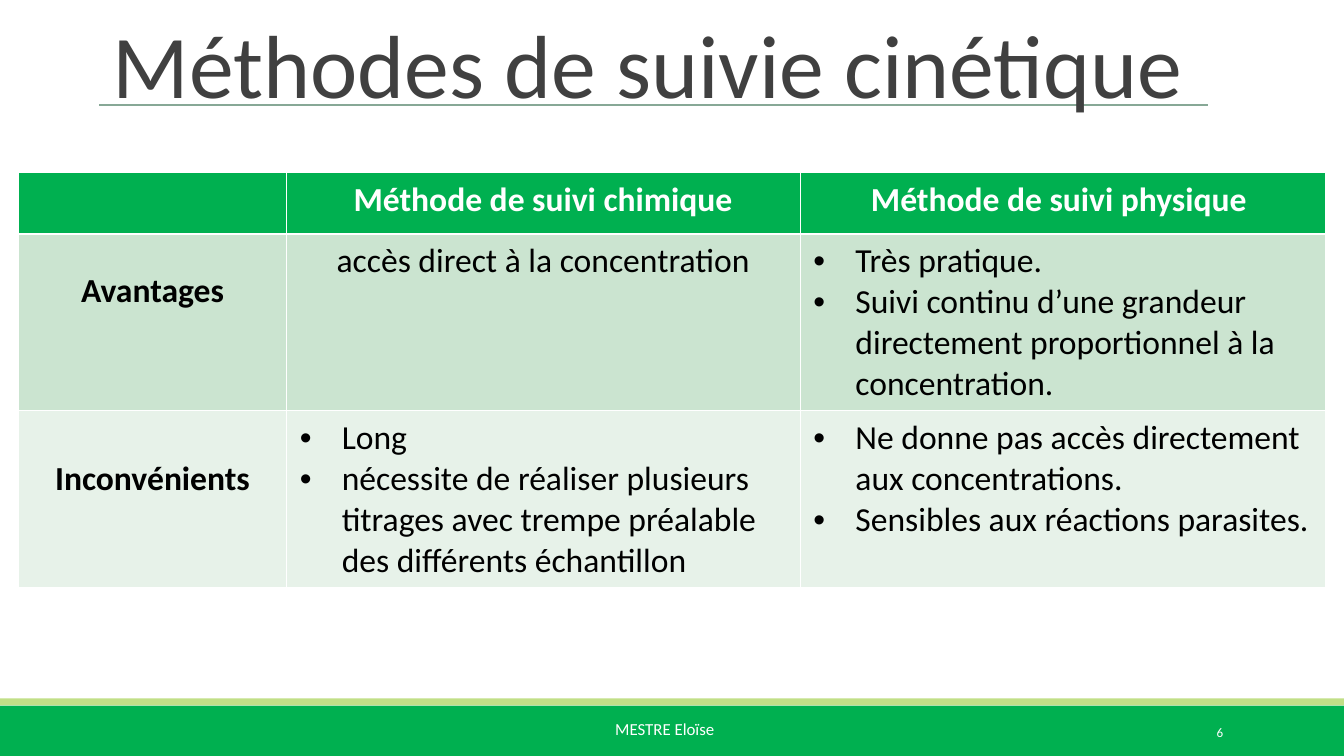
from lxml.etree import SubElement
from pptx import Presentation
from pptx.dml.color import RGBColor
from pptx.enum.shapes import MSO_CONNECTOR as CONNECTOR, MSO_SHAPE as SHAPE
from pptx.enum.text import MSO_ANCHOR as ANCHOR, PP_ALIGN as ALIGN
from pptx.oxml.ns import qn
from pptx.util import Pt

COLORS = {
    "green": "00B050", "lime": "C1DF87", "rule": "87A896", "title": "404040",
    "white": "FFFFFF", "black": "000000", "mint": "CBE4D0", "pale": "E7F2E9",
}


def color(name):
    return RGBColor.from_string(COLORS[name])


def write(paragraph, text, align, size, color_name, bold=False):
    paragraph.alignment = align
    run = paragraph.add_run()
    run.text = text
    formats = {"name": "Calibri", "size": Pt(size), "bold": bold}
    for attribute, value in formats.items():
        setattr(run.font, attribute, value)
    run.font.color.rgb = color(color_name)


presentation = Presentation()
presentation.slide_width, presentation.slide_height = Pt(720), Pt(405)
slide = presentation.slides.add_slide(presentation.slide_layouts[6])

# Footer bands
for top, height, fill in ((378, 27, "green"), (374.2, 3.8, "lime")):
    band = slide.shapes.add_shape(SHAPE.RECTANGLE, 0, Pt(top), Pt(720), Pt(height))
    band.shadow.inherit = False
    band.fill.solid()
    band.fill.fore_color.rgb = color(fill)
    band.line.fill.background()

# Rule under the title
rule = slide.shapes.add_connector(CONNECTOR.STRAIGHT, Pt(53.3), Pt(56.2), Pt(647.3), Pt(56.2))
rule.line.color.rgb = color("rule")
rule.line.width = Pt(1)
SubElement(rule._element.spPr, qn("a:effectLst"))

# Footer, slide number and title
texts = (
    ("MESTRE Eloïse", (322.5, 381.6, 75, 28.8), ANCHOR.TOP, ALIGN.LEFT, 9, "white", False, 1),
    ("6", (584.6, 381.6, 77.8, 21.6), ANCHOR.MIDDLE, ALIGN.RIGHT, 7, "white", True, 1),
    ("Méthodes de suivie cinétique", (53.3, 11.5, 594, 54.7), ANCHOR.BOTTOM, ALIGN.LEFT,
     48, "title", True, 0.85),
)
for text, place, anchor, align, size, color_name, wrap, spacing in texts:
    frame = slide.shapes.add_textbox(*map(Pt, place)).text_frame
    frame.word_wrap = wrap
    frame.vertical_anchor = anchor
    frame.paragraphs[0].line_spacing = spacing
    write(frame.paragraphs[0], text, align, size, color_name)

# Comparison table: a list makes a bulleted cell
rows = (
    ("", "Méthode de suivi chimique", "Méthode de suivi physique "),
    ("Avantages", "accès direct à la concentration",
     ["Très pratique.",
      "Suivi continu d’une grandeur directement proportionnel à la concentration."]),
    ("Inconvénients",
     ["Long",
      "nécessite de réaliser plusieurs titrages avec trempe préalable des différents échantillon"],
     ["Ne donne pas accès directement aux concentrations.",
      "Sensibles aux réactions parasites."]),
)
row_heights = (32.8, 94.8, 94.8)
row_fills = ("green", "mint", "pale")
label_margins = (3.6, 19.5, 25.6)
column_widths = (143.3, 275.2, 281.5)
table = slide.shapes.add_table(3, 3, Pt(10.1), Pt(92.5), Pt(sum(column_widths)),
                               Pt(sum(row_heights))).table
for column, width in zip(table.columns, column_widths):
    column.width = Pt(width)
for r, contents in enumerate(rows):
    table.rows[r].height = Pt(row_heights[r])
    for c, content in enumerate(contents):
        cell = table.cell(r, c)
        cell.margin_top = Pt(label_margins[r] if c == 0 else 3.6)

        # White borders, thicker under the header row
        properties = cell._tc.get_or_add_tcPr()
        for side in "LRTB":
            thick = (r, side) in ((0, "B"), (1, "T"))
            border = SubElement(properties, qn(f"a:ln{side}"), w=str(Pt(1.47 if thick else 0.45)))
            border_fill = SubElement(border, qn("a:solidFill"))
            SubElement(border_fill, qn("a:srgbClr"), val=COLORS["white"])
        cell.fill.solid()
        cell.fill.fore_color.rgb = color(row_fills[r])

        bulleted = isinstance(content, list)
        for i, text in enumerate(content if bulleted else [content]):
            frame = cell.text_frame
            paragraph = frame.add_paragraph() if i else frame.paragraphs[0]
            if bulleted:
                indents = paragraph._p.get_or_add_pPr()
                indents.set("marL", str(Pt(22.5)))
                indents.set("indent", str(-Pt(22.5)))
                SubElement(indents, qn("a:buFont"), typeface="Arial")
                SubElement(indents, qn("a:buChar"), char="•")
            if text:
                write(paragraph, text, ALIGN.LEFT if bulleted else ALIGN.CENTER, 18,
                      "white" if r == 0 else "black", r == 0 or c == 0)

presentation.save("out.pptx")
